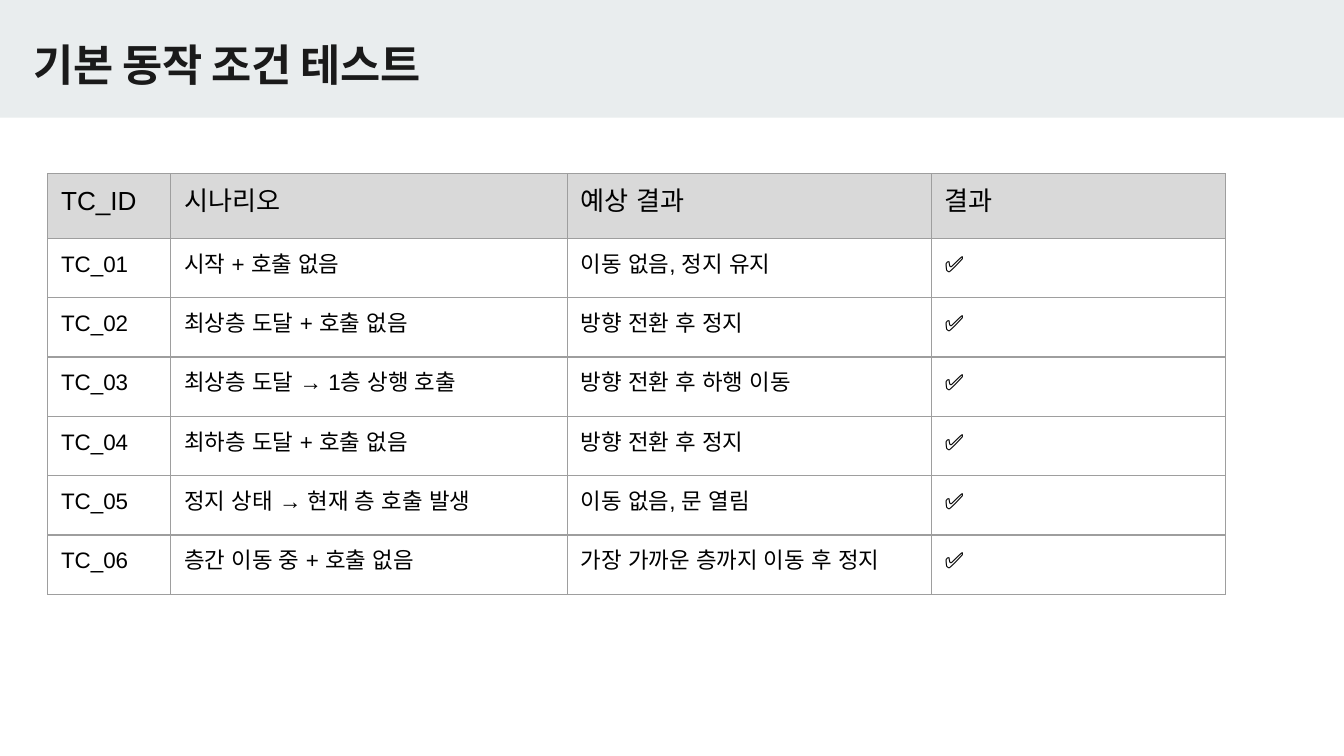
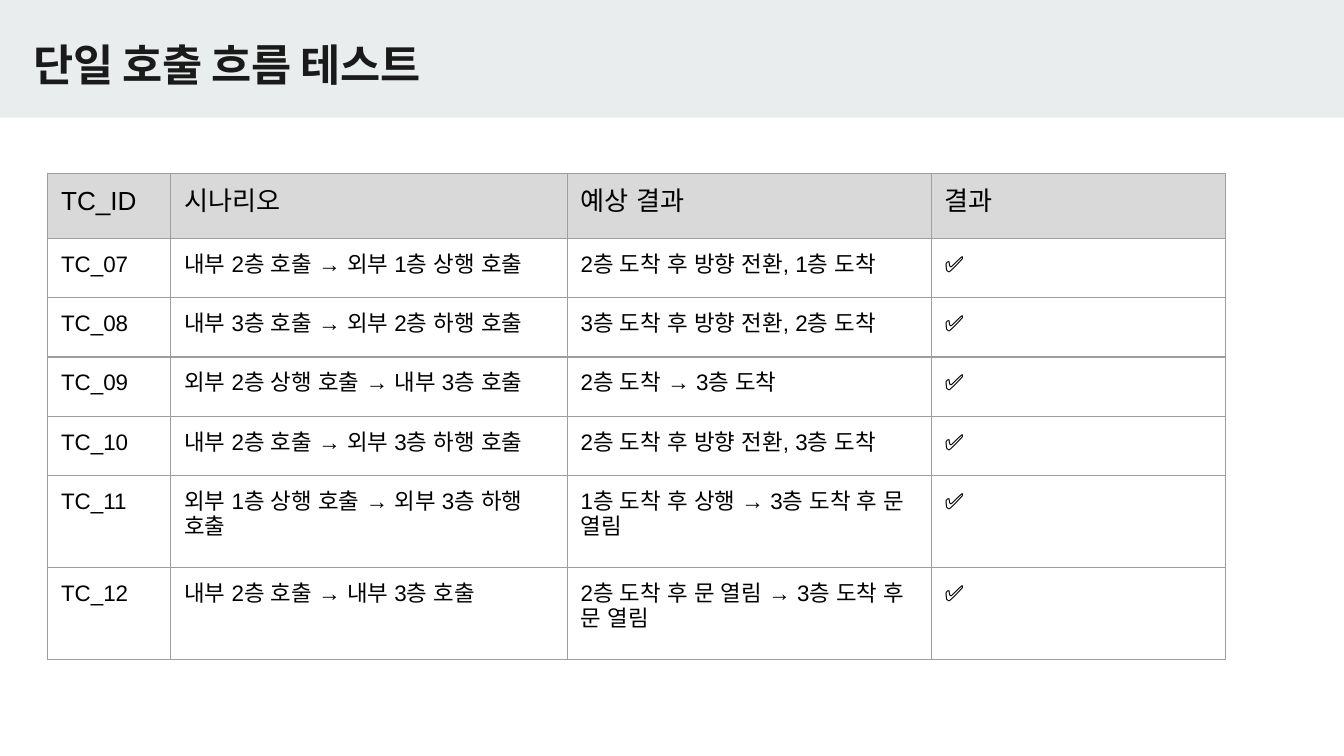
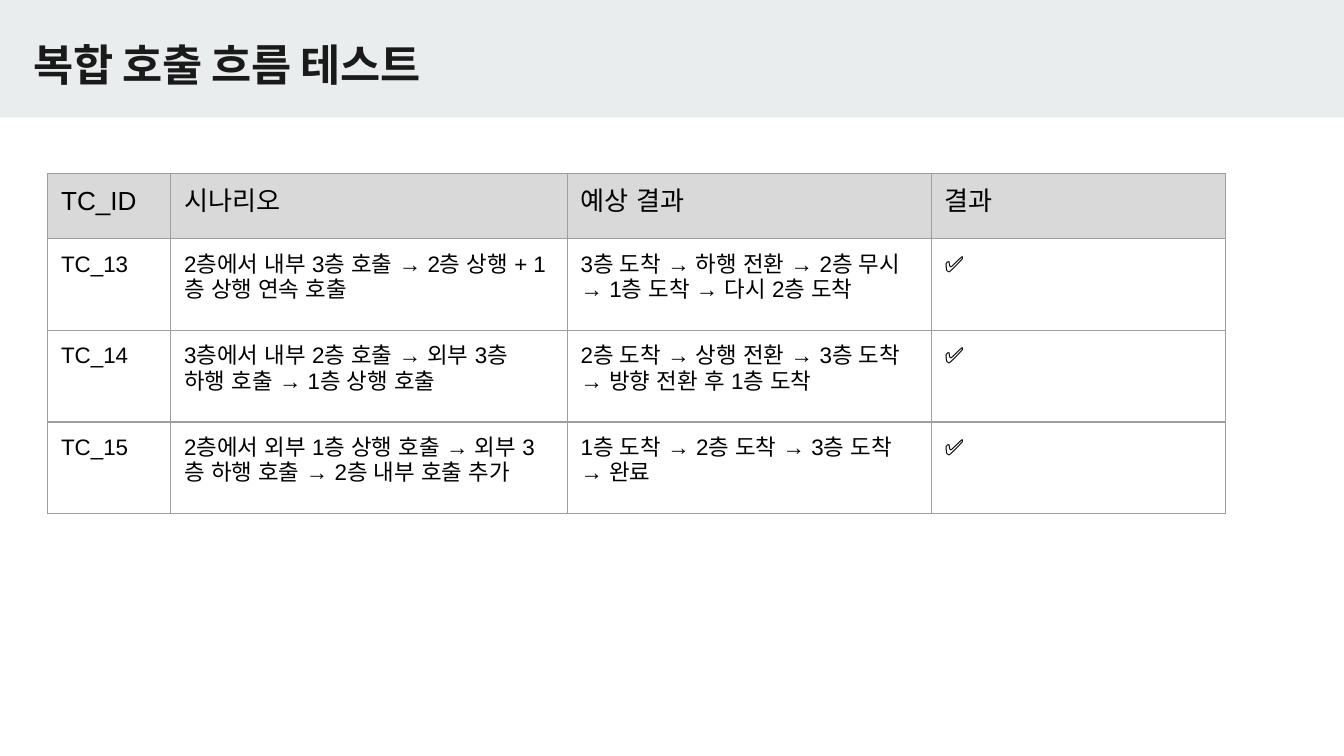
from dataclasses import dataclass

from lxml.etree import SubElement
from pptx import Presentation
from pptx.dml.color import RGBColor
from pptx.enum.lang import MSO_LANGUAGE_ID
from pptx.enum.shapes import MSO_SHAPE
from pptx.enum.text import MSO_ANCHOR
from pptx.oxml.ns import qn
from pptx.util import Pt

# Shared look
BAND, TITLE, TEXT = "E9EDEE", "1A1A1A", "000000"
HEADER_FILL, BORDER = "D9D9D9", "9E9E9E"
TITLE_FONT, BODY_FONT = "Manrope", "Arial"
SLIDE_W, SLIDE_H, BAND_H = 720, 405, 63
INSET = 7.2
TABLE_X, TABLE_Y = 25.5, 93
COL_WIDTHS = (66, 212.4, 195, 157.8)
HEADER_H, ROW_H, TWO_LINE_H = 34.7, 31.8, 49.2
HEADERS = ("TC_ID", "시나리오", "예상 결과", "결과")
PASSED = "✅"
ARROW = "→"


@dataclass
class TestSheet:
    title: str
    first_id: int
    cases: list[tuple[str, str]]  # scenario, expected result
    two_line_rows: int = 0  # counted from the bottom
    bold_arrows: bool = False  # in the scenario column


SHEETS = [
    TestSheet("기본 동작 조건 테스트", 1, [
        ("시작 + 호출 없음", "이동 없음, 정지 유지"),
        ("최상층 도달 + 호출 없음", "방향 전환 후 정지"),
        ("최상층 도달 → 1층 상행 호출", "방향 전환 후 하행 이동"),
        ("최하층 도달 + 호출 없음", "방향 전환 후 정지"),
        ("정지 상태 → 현재 층 호출 발생", "이동 없음, 문 열림"),
        ("층간 이동 중 + 호출 없음", "가장 가까운 층까지 이동 후 정지"),
    ]),
    TestSheet("단일 호출 흐름 테스트", 7, [
        ("내부 2층 호출 → 외부 1층 상행 호출", "2층 도착 후 방향 전환, 1층 도착"),
        ("내부 3층 호출 → 외부 2층 하행 호출", "3층 도착 후 방향 전환, 2층 도착"),
        ("외부 2층 상행 호출 → 내부 3층 호출", "2층 도착 → 3층 도착"),
        ("내부 2층 호출 → 외부 3층 하행 호출", "2층 도착 후 방향 전환, 3층 도착"),
        ("외부 1층 상행 호출 → 외부 3층 하행 호출", "1층 도착 후 상행 → 3층 도착 후 문 열림"),
        ("내부 2층 호출 → 내부 3층 호출", "2층 도착 후 문 열림 → 3층 도착 후 문 열림"),
    ], two_line_rows=2, bold_arrows=True),
    TestSheet("복합 호출 흐름 테스트", 13, [
        ("2층에서 내부 3층 호출 → 2층 상행 + 1층 상행 연속 호출",
         "3층 도착 → 하행 전환 → 2층 무시 → 1층 도착 → 다시 2층 도착"),
        ("3층에서 내부 2층 호출 → 외부 3층 하행 호출 → 1층 상행 호출",
         "2층 도착 → 상행 전환 → 3층 도착 → 방향 전환 후 1층 도착"),
        ("2층에서 외부 1층 상행 호출 → 외부 3층 하행 호출 → 2층 내부 호출 추가",
         "1층 도착 → 2층 도착 → 3층 도착 → 완료"),
    ], two_line_rows=3),
]


def rgb(color: str) -> RGBColor:
    return RGBColor.from_string(color)


def set_font(p, name: str, size: float, color: str, bold: bool = False) -> None:
    p.font.name, p.font.size, p.font.bold = name, Pt(size), bold
    p.font.color.rgb = rgb(color)
    p.font.language_id = MSO_LANGUAGE_ID.KOREAN
    # Same face for the Korean letters
    SubElement(p._p.pPr.find(qn("a:defRPr")), qn("a:ea"), typeface=name)


def set_insets(box) -> None:
    """Give a text frame or a cell the same inset on all sides."""
    box.margin_left = box.margin_right = Pt(INSET)
    box.margin_top = box.margin_bottom = Pt(INSET)


def add_heading(slide, title: str) -> None:
    # Band across the top
    sp = slide.shapes.add_shape(MSO_SHAPE.RECTANGLE, 0, 0, Pt(SLIDE_W), Pt(BAND_H))
    sp.shadow.inherit = False
    sp.fill.solid()
    sp.fill.fore_color.rgb = rgb(BAND)
    sp.line.fill.background()

    # Title
    tf = slide.shapes.add_textbox(Pt(11), Pt(13), Pt(605.5), Pt(42.5)).text_frame
    tf.word_wrap = True
    tf.vertical_anchor = MSO_ANCHOR.MIDDLE
    set_insets(tf)
    p = tf.paragraphs[0]
    p.add_run().text = title
    set_font(p, TITLE_FONT, 23.4, TITLE, bold=True)


def add_borders(cell) -> None:
    tc_pr = cell._tc.get_or_add_tcPr()
    for side in ("lnL", "lnR", "lnT", "lnB"):
        ln = SubElement(tc_pr, qn(f"a:{side}"), w=str(Pt(0.75)))
        fill = SubElement(ln, qn("a:solidFill"))
        SubElement(fill, qn("a:srgbClr"), val=BORDER)


def fill_cell(cell, text: str, header: bool, bold_arrow: bool) -> None:
    set_insets(cell)
    add_borders(cell)
    if header:
        cell.fill.solid()
        cell.fill.fore_color.rgb = rgb(HEADER_FILL)
    else:
        cell.fill.background()
    p = cell.text_frame.paragraphs[0]
    set_font(p, BODY_FONT, 14 if header else 12, TEXT)
    for part in text.partition(ARROW) if bold_arrow else (text,):
        r = p.add_run()
        r.text = part
        if bold_arrow and part == ARROW:
            r.font.bold = True


def add_case_table(slide, sheet: TestSheet) -> None:
    rows = [HEADERS] + [
        (f"TC_{number:02}", scenario, expected, PASSED)
        for number, (scenario, expected) in enumerate(sheet.cases, sheet.first_id)
    ]
    one_line_rows = len(sheet.cases) - sheet.two_line_rows
    heights = [HEADER_H] + [ROW_H] * one_line_rows + [TWO_LINE_H] * sheet.two_line_rows
    table = slide.shapes.add_table(
        len(rows), len(HEADERS), Pt(TABLE_X), Pt(TABLE_Y),
        Pt(sum(COL_WIDTHS)), Pt(sum(heights))).table
    table.first_row = table.horz_banding = False
    for column, width in zip(table.columns, COL_WIDTHS):
        column.width = Pt(width)
    for i, (values, height) in enumerate(zip(rows, heights)):
        table.rows[i].height = Pt(height)
        for j, text in enumerate(values):
            bold_arrow = sheet.bold_arrows and i > 0 and j == 1
            fill_cell(table.cell(i, j), text, i == 0, bold_arrow)


def main() -> None:
    prs = Presentation()
    prs.slide_width, prs.slide_height = Pt(SLIDE_W), Pt(SLIDE_H)
    for sheet in SHEETS:
        slide = prs.slides.add_slide(prs.slide_layouts[6])
        add_heading(slide, sheet.title)
        add_case_table(slide, sheet)
    prs.save("out.pptx")


if __name__ == "__main__":
    main()
